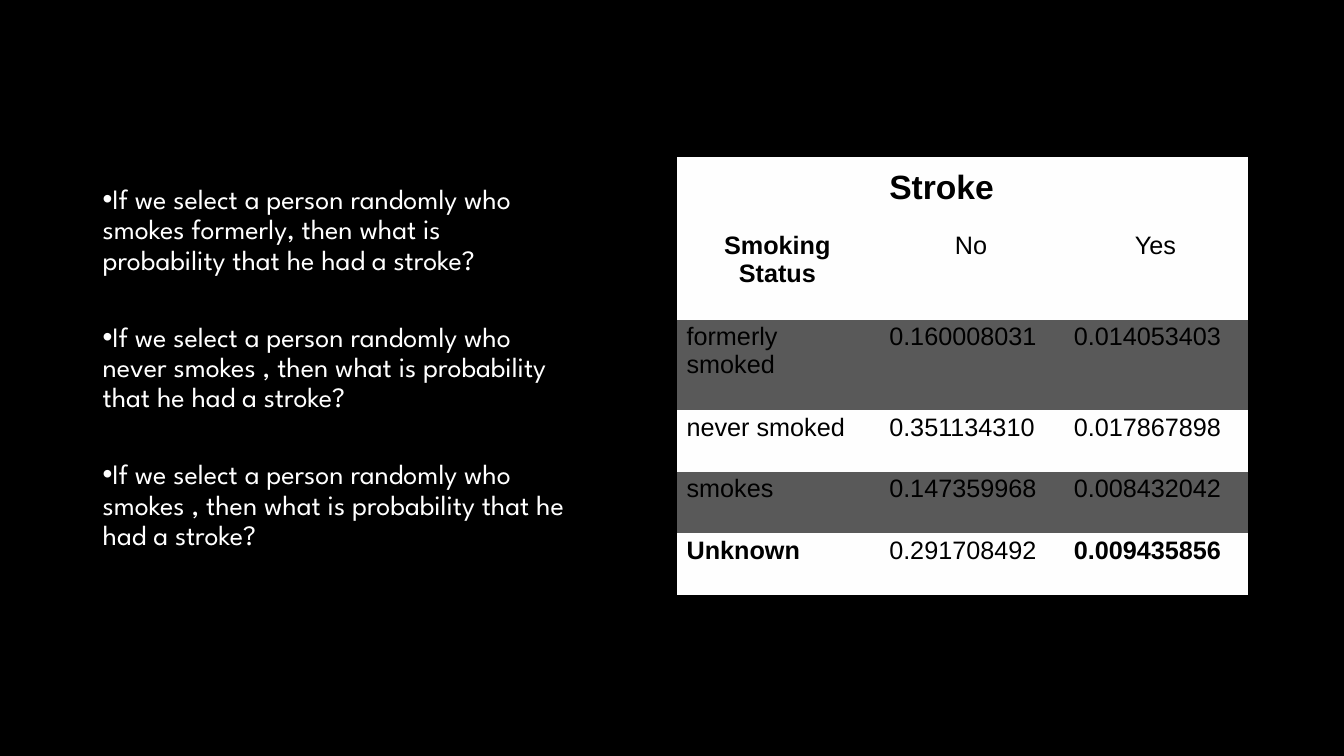
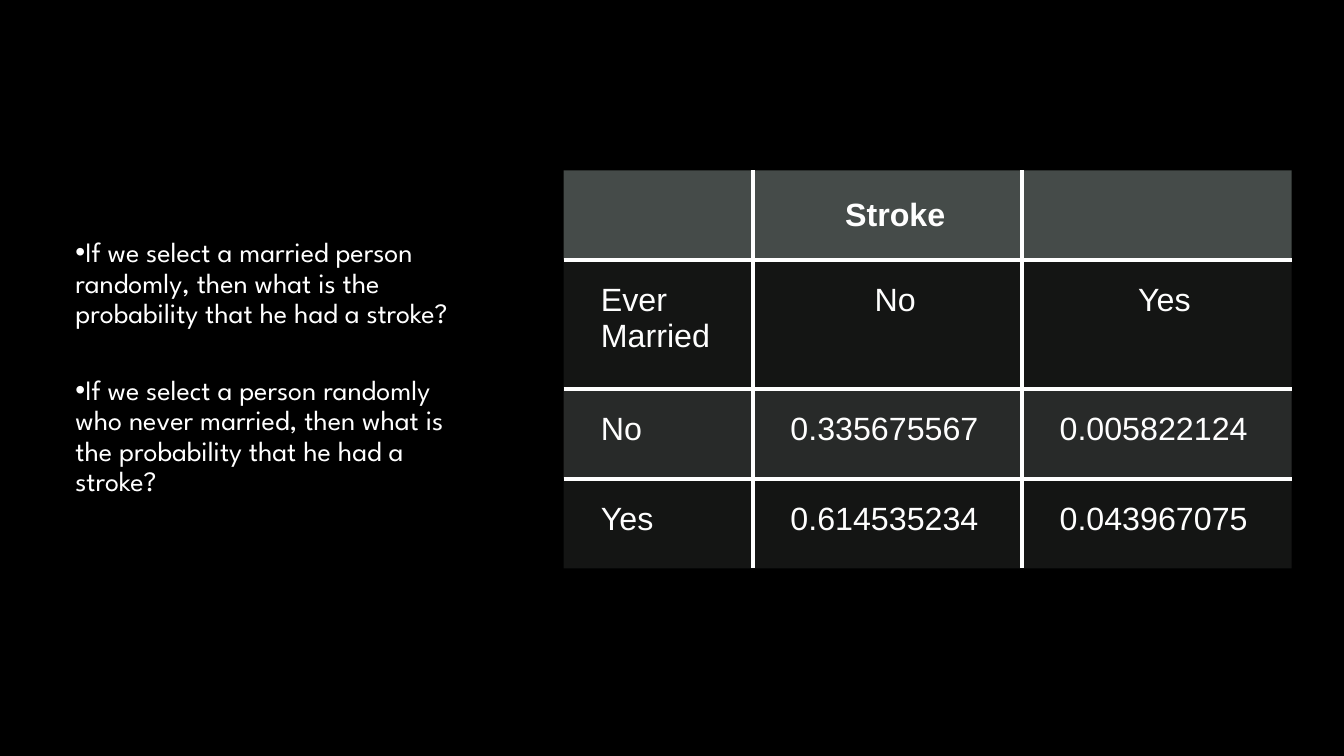
from dataclasses import dataclass

from lxml import etree
from pptx import Presentation
from pptx.dml.color import RGBColor
from pptx.enum import text as t
from pptx.oxml import ns
from pptx import util as u


@dataclass(frozen=True)
class Theme:
    """Colours, fonts and type sizes shared by the slides."""
    wide: float = 13.33
    high: float = 7.5
    back: str = "000000"
    ink: str = "FFFFFF"
    body: str = "League Spartan"
    data: str = "Arial"
    size: float = 20
    gap: float = 33.5
    plain: str = "2D5ABB26-0587-4C30-8999-92F81FD0307C"


@dataclass(frozen=True)
class Look:
    """The style of one table; a fill is a colour and its opacity."""
    size: float
    head: float
    ink: str
    inset: tuple
    fills: tuple
    anchor: t.MSO_ANCHOR
    edge: tuple = ()
    grid: tuple = ()


THEME = Theme()
PALE, DARK = ("FEFEFE", 100), ("595959", 100)
FAINT, SOFT = ("878E8B", 15), ("878E8B", 30)
LIGHT = Look(18, 24, "000000", (0.1, 0.03, 0.11, 0.22),
             (PALE, PALE, DARK, PALE, DARK, PALE),
             t.MSO_ANCHOR.BOTTOM, edge=("000000", 1))
NIGHT = Look(23, 23, "FEFEFE", (0.37, 0.22, 0.22, 0.22),
             (("636B68", 70), FAINT, SOFT, FAINT),
             t.MSO_ANCHOR.MIDDLE, grid=("FFFFFF", 3))

SMOKE = dict(
    asks=("If we select a person randomly who smokes formerly, then what is probability that he had a stroke?",
          "If we select a person randomly who never smokes , then what is probability that he had a stroke?",
          "If we select a person randomly who smokes , then what is probability that he had a stroke?"),
    text=(0.92, 1.79, 4.8, 4.33),
    spot=(6.71, 1.56),
    cols=(2.01, 1.83, 1.83),
    rows=(0.71, 0.9, 0.9, 0.61, 0.61, 0.61),
    cells=(("", "Stroke", ""),
           ("Smoking Status", "No", "Yes"),
           ("formerly smoked", "0.160008031", "0.014053403"),
           ("never smoked", "0.351134310", "0.017867898"),
           ("smokes", "0.147359968", "0.008432042"),
           ("Unknown", "0.291708492", "0.009435856")),
    bold={(0, 1), (1, 0), (5, 0), (5, 2)},
    mid={(1, 0), (1, 1), (1, 2)},
    look=LIGHT)

WED = dict(
    asks=("If we select a married person randomly, then what is the probability that he had a stroke?",
          "If we select a person randomly who never married, then what is the probability that he had a stroke?"),
    text=(0.65, 2.32, 4.18, 4.13),
    spot=(5.59, 1.69),
    cols=(1.88, 2.67, 2.67),
    rows=(0.89, 1.28, 0.89, 0.89),
    cells=(("", "Stroke", ""),
           ("Ever Married", "No", "Yes"),
           ("No", "0.335675567", "0.005822124"),
           ("Yes", "0.614535234", "0.043967075")),
    bold={(0, 1)},
    mid={(0, 1), (1, 1), (1, 2)},
    look=NIGHT)


def rgb(code):
    """Turn a hex code into a colour."""
    return RGBColor.from_string(code)


def node(home, tag, **attrs):
    """Add a drawing element to a parent."""
    return etree.SubElement(home, ns.qn("a:" + tag), attrs)


def style(para, face, size, ink, bold=False):
    """Set the font of a paragraph."""
    font = para.font
    font.name, font.size, font.bold = face, u.Pt(size), bold
    font.color.rgb = rgb(ink)


def bullets(slide, box, asks):
    """Write the questions as a bulleted list in the box."""
    frame = slide.shapes.add_textbox(*map(u.Inches, box)).text_frame
    frame.word_wrap = True
    for i, ask in enumerate(asks):
        para = frame.paragraphs[0] if i == 0 else frame.add_paragraph()
        para.text = ask
        para.line_spacing = 0.9
        para.space_before = u.Pt(THEME.gap if i else 0)
        style(para, THEME.body, THEME.size, THEME.ink)
        props = para._p.get_or_add_pPr()
        props.set("marL", "0")
        props.set("indent", "0")
        node(node(props, "buClr"), "srgbClr", val=THEME.ink)
        node(props, "buFont", typeface="Arial")
        node(props, "buChar", char="•")


def paint(cell, code, share):
    """Fill a cell with a colour of the given opacity."""
    cell.fill.solid()
    cell.fill.fore_color.rgb = rgb(code)
    if share < 100:
        for tint in cell._tc.tcPr.iter(ns.qn("a:srgbClr")):
            node(tint, "alpha", val=str(share * 1000))


def border(cell, sides):
    """Draw lines, each a colour and a width, on the named sides."""
    props = cell._tc.tcPr
    for at, side in enumerate(s for s in "LRTB" if s in sides):
        code, width = sides[side]
        line = node(props, "ln" + side, w=str(u.Pt(width)))
        node(node(line, "solidFill"), "srgbClr", val=code)
        props.insert(at, line)


def edges(look, r, c, last):
    """Find the lines of the cell at row r and column c."""
    if look.grid:
        inner = dict(L=c > 0, R=c < last[1], T=r > 0, B=r < last[0])
        return {side: look.grid for side, on in inner.items() if on}
    return {"L": look.edge} if look.edge and r and not c else {}


def table(slide, spot, cols, rows, cells, bold, mid, look):
    """Place a table with its top left corner at the spot."""
    box = (*spot, sum(cols), sum(rows))
    grid = slide.shapes.add_table(len(rows), len(cols), *map(u.Inches, box)).table
    grid.first_row = grid.horz_banding = False
    for mark in grid._tbl.iter(ns.qn("a:tableStyleId")):
        mark.text = "{" + THEME.plain + "}"
    for col, width in zip(grid.columns, cols):
        col.width = u.Inches(width)
    for r, (row, height) in enumerate(zip(grid.rows, rows)):
        row.height = u.Inches(height)
        for c, cell in enumerate(row.cells):
            cell.margin_left, cell.margin_top, cell.margin_right, cell.margin_bottom = map(u.Inches, look.inset)
            cell.vertical_anchor = t.MSO_ANCHOR.TOP if r else look.anchor
            cell.text = cells[r][c]
            para = cell.text_frame.paragraphs[0]
            para.alignment = t.PP_ALIGN.CENTER if (r, c) in mid else t.PP_ALIGN.LEFT
            style(para, THEME.data, look.size if r else look.head, look.ink, (r, c) in bold)
            paint(cell, *look.fills[r])
            border(cell, edges(look, r, c, (len(rows) - 1, len(cols) - 1)))


def page(deck, asks, text, **parts):
    """Add a slide with questions on the left and a table on the right."""
    slide = deck.slides.add_slide(deck.slide_layouts[6])
    slide.background.fill.solid()
    slide.background.fill.fore_color.rgb = rgb(THEME.back)
    bullets(slide, text, asks)
    table(slide, **parts)


def main():
    """Build and save the deck."""
    deck = Presentation()
    deck.slide_width, deck.slide_height = u.Inches(THEME.wide), u.Inches(THEME.high)
    for facts in (SMOKE, WED):
        page(deck, **facts)
    deck.save("out.pptx")


if __name__ == "__main__":
    main()
